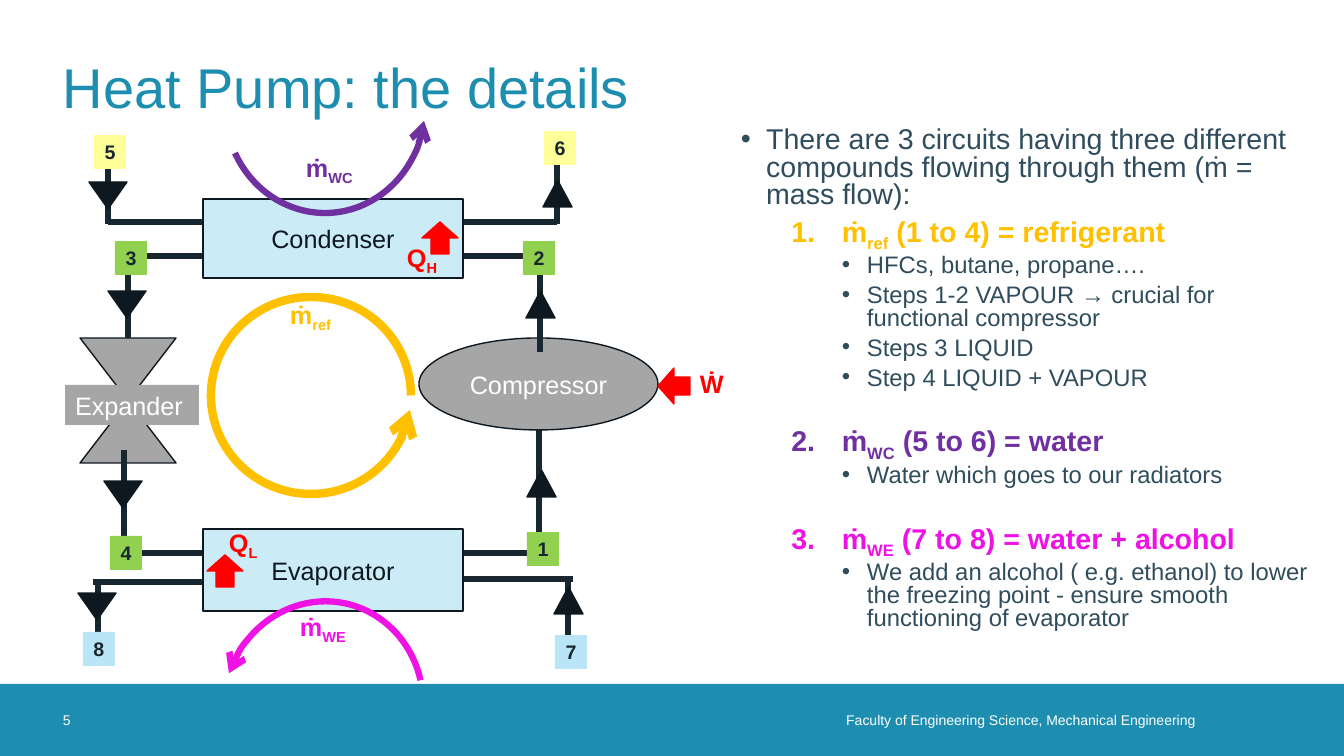
"""Build the heat pump slide: a cycle diagram beside a list of its three circuits."""
from lxml.etree import SubElement
from pptx import Presentation
from pptx.dml.color import RGBColor
from pptx.enum.shapes import MSO_CONNECTOR, MSO_SHAPE
from pptx.enum.text import MSO_ANCHOR, PP_ALIGN
from pptx.oxml.ns import qn
from pptx.util import Emu, Pt

TEAL, SLATE, DARK, INK = "1D8DB0", "2F4D5D", "18272F", "0E1820"
WHITE, RED, GREY, ICE = "FFFFFF", "FF0000", "A6A6A6", "CBECF6"
GOLD, PURPLE, PINK = "FFC000", "7030A0", "EE12E4"
GREEN, YELLOW, SKY = "92D050", "FFFF99", "BAE5F7"

TITLE = "Heat Pump: the details"
FOOTER = "Faculty of Engineering Science, Mechanical Engineering"
PAGE = "5"
INTRO = ("There are 3 circuits having three different compounds flowing "
         "through them (ṁ = mass flow):")
CIRCUITS = [
    ("ref", " (1 to 4) = refrigerant", GOLD, [
        "HFCs, butane, propane….",
        "Steps 1-2 VAPOUR → crucial for functional compressor",
        "Steps 3 LIQUID",
        "Step 4 LIQUID + VAPOUR"]),
    ("WC", " (5 to 6) = water", PURPLE, ["Water which goes to our radiators"]),
    ("WE", " (7 to 8) = water + alcohol", PINK, [
        "We add an alcohol ( e.g. ethanol) to lower the freezing point - "
        "ensure smooth functioning of evaporator"]),
]
BACK_PIPES = [
    (450, 579, 573, 579), (93, 582, 211, 582), (108, 222, 211, 222),
    (450, 222, 557, 222), (440, 553, 543, 553), (539, 555, 539, 429),
    (418, 256, 544, 256), (128, 256, 254, 256), (128, 254, 128, 352),
    (122, 553, 248, 553),
]
FRONT_PIPES = [
    (108, 146, 108, 224), (568, 579, 568, 656), (557, 146, 557, 224),
    (98, 582, 98, 659), (540, 352, 540, 258), (124, 450, 124, 555),
]
MACHINES = [
    ("Evaporator", MSO_SHAPE.RECTANGLE, (203, 529, 260, 82), ICE, INK),
    ("Condenser", MSO_SHAPE.RECTANGLE, (203, 199, 260, 79), ICE, INK),
    ("Compressor", MSO_SHAPE.OVAL, (419, 338, 239, 92), GREY, WHITE),
    ("", MSO_SHAPE.FLOWCHART_COLLATE, (80, 338, 96, 125), GREY, WHITE),
]
UP_FLOWS = [(543, 180), (554, 587), (526, 291), (527, 470)]
DOWN_FLOWS = [(78, 593), (89, 182), (108, 291), (104, 481)]
ENERGY_ARROWS = [(422, 222, 0), (207, 555, 0), (656, 370, 270)]
STATES = [
    (527, 532, GREEN), (523, 241, GREEN), (115, 241, GREEN), (110, 536, GREEN),
    (94, 135, YELLOW), (544, 131, YELLOW), (555, 635, SKY), (83, 632, SKY),
]
ARCS = [
    ((211, 297, 200, 197), 0, 0, GOLD, 6),
    ((225, 0, 200, 213), 91.6, 0, PURPLE, 4.5),
    ((223, 601, 200, 213), 91.6, 191.7, PINK, 4.5),
]
LABELS = [
    ("Ẇ", "", 690, 363, RED), ("Q", "H", 397, 237, RED),
    ("Q", "L", 219, 522, RED), ("ṁ", "WC", 296, 147, PURPLE),
    ("ṁ", "WE", 290, 606, PINK), ("ṁ", "ref", 280, 294, GOLD),
]


def px(n):
    return Emu(round(n * 914400 / 100.8))


def rgb(value):
    return RGBColor.from_string(value)


def add_runs(p, runs, color, size, bold=False):
    for text, sub in runs:
        if not text:
            continue
        r = p.add_run()
        r.text = text
        for name, value in {"name": "Arial", "size": Pt(size), "bold": bold}.items():
            setattr(r.font, name, value)
        r.font.color.rgb = rgb(color)
        if sub:
            r._r.get_or_add_rPr().set("baseline", "-25000")


def set_frame(sp, anchor=MSO_ANCHOR.TOP, insets=(10, 5, 10, 5)):
    tf = sp.text_frame
    tf.word_wrap = True
    tf.vertical_anchor = anchor
    for side, inset in zip(("left", "top", "right", "bottom"), insets):
        setattr(tf, f"margin_{side}", px(inset))
    return tf


def add_text(s, box, runs, color, size, bold=False, align=PP_ALIGN.LEFT, **frame):
    sp = s.shapes.add_textbox(*map(px, box))
    p = set_frame(sp, **frame).paragraphs[0]
    p.alignment = align
    add_runs(p, runs, color, size, bold)


def add_shape(s, kind, box, fill=None, line=None, width=1, rotation=0):
    sp = s.shapes.add_shape(kind, *map(px, box))
    sp.shadow.inherit = False
    sp.rotation = rotation
    for part, color in ((sp.fill, fill), (sp.line.fill, line)):
        if color:
            part.solid()
            part.fore_color.rgb = rgb(color)
        else:
            part.background()
    if line:
        sp.line.width = Pt(width)
    return sp


def add_shape_text(sp, text, color, size, bold=False, align=PP_ALIGN.CENTER,
                   insets=(0, 0, 0, 0)):
    p = set_frame(sp, MSO_ANCHOR.MIDDLE, insets).paragraphs[0]
    p.alignment = align
    add_runs(p, [(text, False)], color, size, bold)


def add_pipes(s, pipes):
    for ends in pipes:
        line = s.shapes.add_connector(MSO_CONNECTOR.STRAIGHT, *map(px, ends))
        line.line.color.rgb = rgb(DARK)
        line.line.width = Pt(4.5)
        SubElement(line._element.spPr, qn("a:effectLst"))


def add_item(tf, runs, color, size, left, hang, before, number=0, bold=False):
    p = tf.add_paragraph() if tf.paragraphs[0].runs else tf.paragraphs[0]
    pPr = p._p.get_or_add_pPr()
    pPr.set("marL", str(Pt(left)))
    pPr.set("indent", str(-Pt(hang)))
    if number:
        SubElement(pPr, qn("a:buAutoNum"), type="arabicPeriod", startAt=str(number))
    else:
        SubElement(pPr, qn("a:buFont"), typeface="Arial")
        SubElement(pPr, qn("a:buChar"), char="•")
    p.line_spacing = 0.8
    p.space_before = Pt(before)
    add_runs(p, runs, color, size, bold)


def add_circuit_list(s):
    tf = set_frame(s.shapes.add_textbox(*map(px, (731, 123, 596, 514))))
    add_item(tf, [(INTRO, False)], SLATE, 20.4, 18, 18, 0)
    for number, (sub, rest, color, notes) in enumerate(CIRCUITS, 1):
        runs = [("ṁ", False), (sub, True), (rest, False)]
        before = 5 if number == 1 else 26
        add_item(tf, runs, color, 20.4, 72, 36, before, number, True)
        for note in notes:
            add_item(tf, [(note, False)], SLATE, 17, 90, 18, 5)


def add_diagram(s):
    add_pipes(s, BACK_PIPES)
    for text, kind, box, fill, color in MACHINES:
        sp = add_shape(s, kind, box, fill, INK)
        add_shape_text(sp, text, color, 18)
    add_pipes(s, FRONT_PIPES)
    for x, y, rotation in ENERGY_ARROWS:
        add_shape(s, MSO_SHAPE.UP_ARROW, (x, y, 36, 32), RED, RED, rotation=rotation)
    sp = add_shape(s, MSO_SHAPE.RECTANGLE, (65, 385, 134, 40), GREY)
    add_shape_text(sp, "Expander", WHITE, 18, align=PP_ALIGN.LEFT, insets=(10, 5, 10, 5))
    for spots, width, rotation in ((UP_FLOWS, 29, 0), (DOWN_FLOWS, 38, 180)):
        for x, y in spots:
            add_shape(s, MSO_SHAPE.ISOSCELES_TRIANGLE, (x, y, width, 27), INK, INK,
                      rotation=rotation)
    for number, (x, y, fill) in enumerate(STATES, 1):
        sp = add_shape(s, MSO_SHAPE.RECTANGLE, (x, y, 32, 34), fill)
        add_shape_text(sp, str(number), DARK, 14, True)
    for box, end, rotation, color, width in ARCS:
        sp = add_shape(s, MSO_SHAPE.ARC, box, None, color, width, rotation)
        sp.adjustments[0], sp.adjustments[1] = 4.99, end
        SubElement(sp._element.spPr.find(qn("a:ln")), qn("a:headEnd"), type="arrow")
    for text, sub, x, y, color in LABELS:
        add_text(s, (x, y, 80, 40), [(text, False), (sub, True)], color, 18, True)


def main():
    prs = Presentation()
    prs.slide_width, prs.slide_height = px(1344), px(756)
    s = prs.slides.add_slide(prs.slide_layouts[6])
    middle = {"anchor": MSO_ANCHOR.MIDDLE, "insets": (0, 0, 0, 0)}
    add_shape(s, MSO_SHAPE.RECTANGLE, (0, 684, 1344, 72), TEAL)
    add_text(s, (665, 684, 530, 72), [(FOOTER, False)], WHITE, 10,
             align=PP_ALIGN.RIGHT, **middle)
    add_text(s, (63, 684, 72, 72), [(PAGE, False)], WHITE, 10, **middle)
    add_circuit_list(s)
    add_text(s, (63, 23, 1217, 127), [(TITLE, False)], TEAL, 40, **middle)
    add_diagram(s)
    prs.save("out.pptx")


if __name__ == "__main__":
    main()
